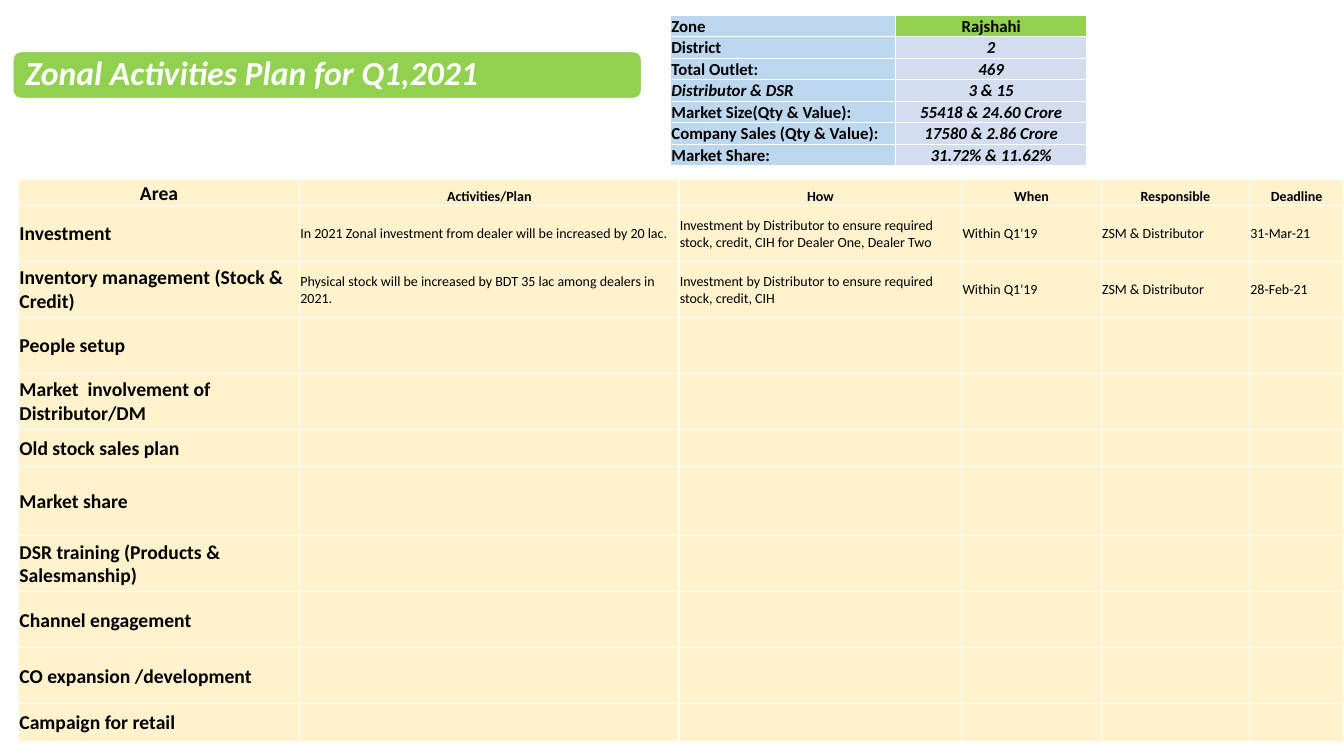
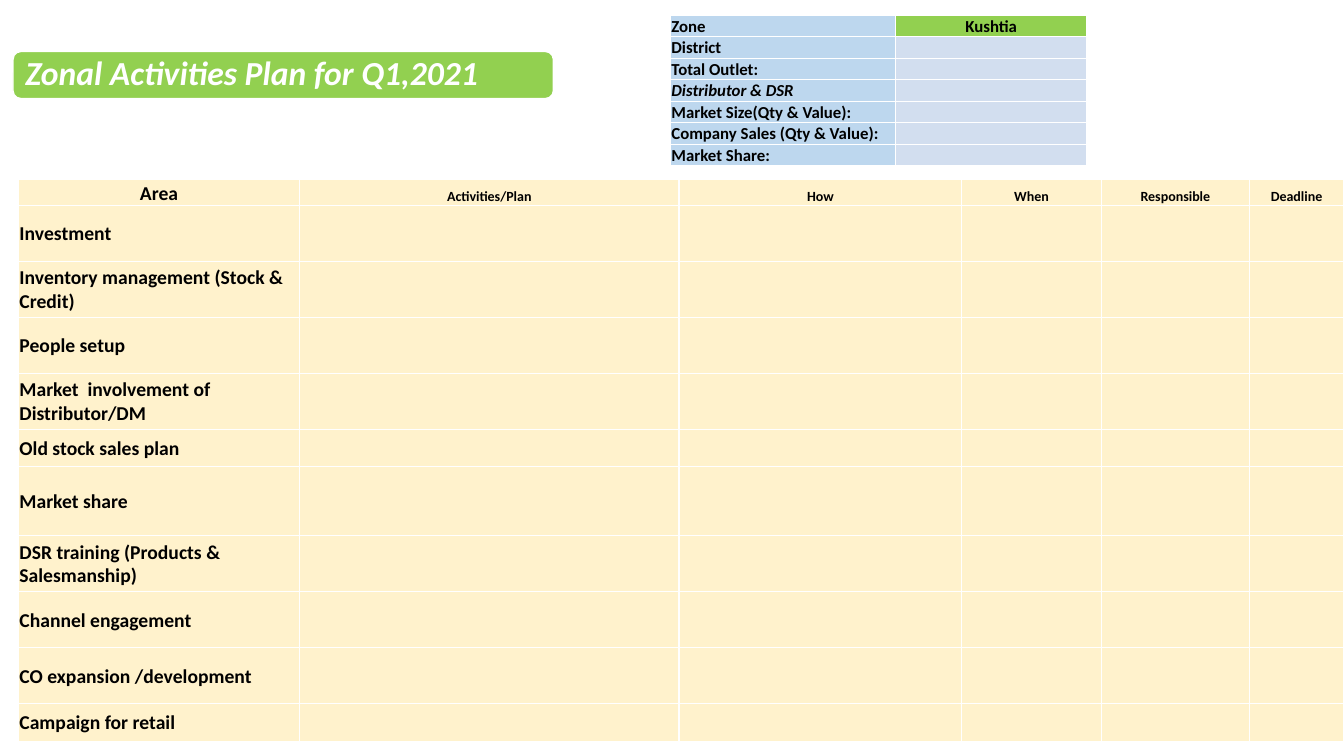
from lxml.etree import SubElement
from pptx import Presentation
from pptx.dml.color import RGBColor
from pptx.enum.shapes import MSO_SHAPE
from pptx.enum.text import MSO_ANCHOR, MSO_AUTO_SIZE, PP_ALIGN
from pptx.oxml import parse_xml
from pptx.oxml.ns import nsdecls, qn
from pptx.util import Pt

GREEN = RGBColor(0x92, 0xD0, 0x50)
CREAM = RGBColor(0xFF, 0xF2, 0xCC)
BLUE = RGBColor(0xBD, 0xD7, 0xEE)
PALE_BLUE = RGBColor(0xD2, 0xDE, 0xEF)
WHITE = RGBColor(0xFF, 0xFF, 0xFF)
BLACK = RGBColor(0, 0, 0)
FONT = "Calibri"

TITLE = "Zonal Activities Plan for Q1,2021"
SUMMARY_LABELS = [
    "Zone", "District", "Total Outlet:", "Distributor & DSR",
    "Market Size(Qty & Value):", "Company Sales (Qty & Value):", "Market Share:",
]
SUMMARY_WIDTHS = [160.5, 137]
SUMMARY_HEIGHTS = [15.35] * len(SUMMARY_LABELS)
PLAN_HEADERS = ["Area", "Activities/Plan", "How", "When", "Responsible", "Deadline"]
PLAN_WIDTHS = [200.7, 271, 202, 99.6, 106, 67.2]
AREAS = [
    ("Investment", 40),
    ("Inventory management (Stock & Credit)", 40),
    ("People setup", 40),
    ("Market  involvement of Distributor/DM", 40),
    ("Old stock sales plan", 26.7),
    ("Market share", 49.3),
    ("DSR training (Products & Salesmanship)", 40),
    ("Channel engagement", 40),
    ("CO expansion /development", 40),
    ("Campaign for retail", 26.7),
]
PLAN_HEIGHTS = [18.4] + [height for _, height in AREAS]

ZONES = [
    {
        "band_width": 449,
        "summary": ["Rajshahi", "2", "469", "3 & 15", "55418 & 24.60 Crore",
                    "17580 & 2.86 Crore", "31.72% & 11.62%"],
        "plans": {
            "Investment": [
                "In 2021 Zonal investment from dealer will be increased by 20 lac.",
                "Investment by Distributor to ensure required stock, credit, "
                "CIH for Dealer One, Dealer Two",
                "Within Q1'19", "ZSM & Distributor", "31-Mar-21"],
            "Inventory management (Stock & Credit)": [
                "Physical stock will be increased by BDT 35 lac among dealers in 2021.",
                "Investment by Distributor to ensure required stock, credit, CIH",
                "Within Q1'19", "ZSM & Distributor", "28-Feb-21"],
        },
    },
    {
        "band_width": 386,
        "summary": ["Kushtia"] + [""] * 6,
        "plans": {},
    },
]


def add_plain_table(slide, left, top, widths, heights):
    """Add a table without banding, sized by its column widths and row heights."""
    frame = slide.shapes.add_table(len(heights), len(widths), Pt(left), Pt(top),
                                   Pt(sum(widths)), Pt(sum(heights)))
    table = frame.table
    table.first_row = table.horz_banding = False
    for column, width in zip(table.columns, widths):
        column.width = Pt(width)
    for row, height in zip(table.rows, heights):
        row.height = Pt(height)
    return table


def fill_cell(cell, text, fill, size, bold=True, italic=False,
              alignment=PP_ALIGN.LEFT, anchor=MSO_ANCHOR.BOTTOM):
    cell.margin_left = cell.margin_right = cell.margin_top = Pt(0.6)
    cell.margin_bottom = 0
    cell.vertical_anchor = anchor
    cell.text = text
    paragraph = cell.text_frame.paragraphs[0]
    paragraph.alignment = alignment
    font = paragraph.font
    font.name, font.size, font.bold, font.italic = FONT, Pt(size), bold, italic
    font.color.rgb = BLACK
    if not text:
        # An empty cell takes its line height from the end-of-paragraph mark
        SubElement(paragraph._p, qn("a:endParaRPr"), sz=str(size * 100))
    properties = cell._tc.get_or_add_tcPr()
    for side in ("lnL", "lnR", "lnT", "lnB"):
        properties.append(parse_xml(
            f'<a:{side} {nsdecls("a")} w="12700"><a:solidFill>'
            f'<a:srgbClr val="{WHITE}"/></a:solidFill></a:{side}>'))
    cell.fill.solid()
    cell.fill.fore_color.rgb = fill


presentation = Presentation()
presentation.slide_width, presentation.slide_height = Pt(960), Pt(540)
title_only = presentation.slide_layouts[5]

for zone in ZONES:
    slide = presentation.slides.add_slide(title_only)

    band = slide.shapes.add_shape(MSO_SHAPE.ROUNDED_RECTANGLE, Pt(9.3), Pt(36.8),
                                  Pt(zone["band_width"]), Pt(33.6))
    band.shadow.inherit = False
    band.fill.solid()
    band.fill.fore_color.rgb = GREEN
    band.line.color.rgb = WHITE
    band.line.width = Pt(1)

    title = slide.shapes.title
    band._element.addnext(title._element)
    title.left, title.top = Pt(10.9), Pt(38.4)
    title.width, title.height = Pt(zone["band_width"] - 3.2), Pt(30.4)
    title.text = TITLE
    text_frame = title.text_frame
    text_frame.auto_size = MSO_AUTO_SIZE.NONE
    text_frame.vertical_anchor = MSO_ANCHOR.MIDDLE
    text_frame.margin_left = text_frame.margin_right = Pt(7.2)
    text_frame.margin_top = text_frame.margin_bottom = Pt(7.2)
    paragraph = text_frame.paragraphs[0]
    paragraph.alignment = PP_ALIGN.LEFT
    paragraph.line_spacing = 0.9
    font = paragraph.font
    font.name, font.size, font.bold, font.italic = FONT, Pt(24), True, True
    font.color.rgb = WHITE

    plan = add_plain_table(slide, 13.3, 128.4, PLAN_WIDTHS, PLAN_HEIGHTS)
    for column, header in enumerate(PLAN_HEADERS):
        fill_cell(plan.cell(0, column), header, CREAM, 10 if column else 14,
                  alignment=PP_ALIGN.CENTER)
    for row, (area, _) in enumerate(AREAS, start=1):
        fill_cell(plan.cell(row, 0), area, CREAM, 14, anchor=MSO_ANCHOR.MIDDLE)
        details = zone["plans"].get(area, [""] * 5)
        for column, detail in enumerate(details, start=1):
            fill_cell(plan.cell(row, column), detail, CREAM, 10, bold=False,
                      anchor=MSO_ANCHOR.MIDDLE)

    summary = add_plain_table(slide, 479, 11, SUMMARY_WIDTHS, SUMMARY_HEIGHTS)
    for row, (label, value) in enumerate(zip(SUMMARY_LABELS, zone["summary"])):
        fill_cell(summary.cell(row, 0), label, BLUE, 12,
                  italic=label == "Distributor & DSR")
        fill_cell(summary.cell(row, 1), value, PALE_BLUE if row else GREEN, 12,
                  italic=row > 0, alignment=PP_ALIGN.CENTER)

presentation.save("out.pptx")
